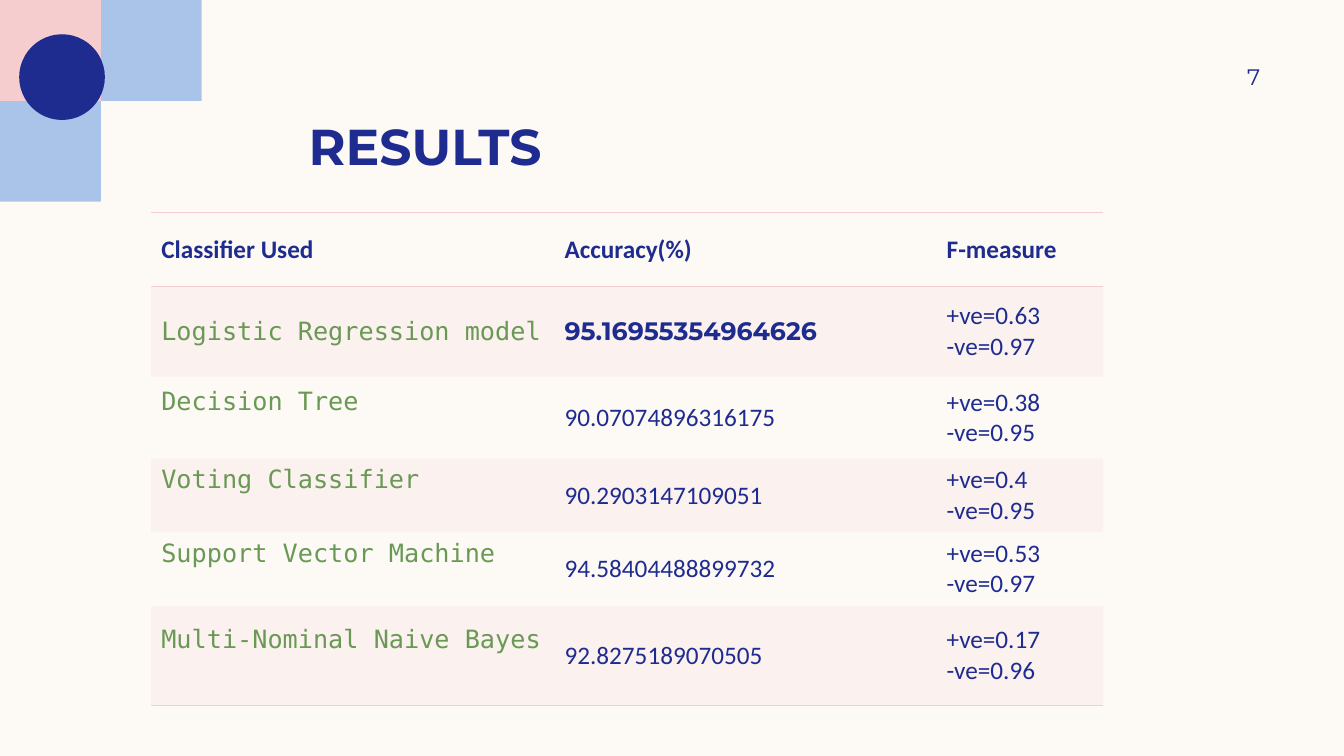
from lxml import etree
from pptx import Presentation
from pptx.dml.color import RGBColor
from pptx.enum import shapes, text
from pptx.oxml.ns import qn
from pptx.util import Inches, Pt

# Content
TITLE = "RESULTS"
PAGE_NUMBER = "7"
HEADERS = ("Classifier Used", "Accuracy(%)", "F-measure")
RESULTS = [
    ("Logistic Regression model", "95.16955354964626", "+ve=0.63\n-ve=0.97"),
    ("Decision Tree", "90.07074896316175", "+ve=0.38\n-ve=0.95"),
    ("Voting Classifier", "90.2903147109051", "+ve=0.4\n-ve=0.95"),
    ("Support Vector Machine", "94.58404488899732", "+ve=0.53\n-ve=0.97"),
    ("Multi-Nominal Naive Bayes", "92.8275189070505", "+ve=0.17\n-ve=0.96"),
]
COLUMN_WIDTHS = (4, 3.79, 1.65)
ROW_HEIGHTS = (0.73, 0.9, 0.81, 0.73, 0.73, 0.99)
COLORS = {"background": "FDFAF6", "navy": "1F2C8F", "blue": "AAC3E8",
          "pink": "F5CDCE", "green": "6A9955"}
BODY, HEADING, CODE = "Calibri", "Montserrat", "DejaVu Sans Mono"

# Corner arcs: Bézier control points, from the top edge to the left edge
OUTER_ARC = ((1.7, 0.01), (1.7, 1.12), (1.12, 2.09), (0.24, 2.65))
INNER_ARC = ((0.74, 0.22), (0.68, 0.73), (0.46, 1.19), (0.11, 1.54))


def color(name):
    return RGBColor.from_string(COLORS[name])


def write(frame, content, size=18, font=BODY, ink="navy", bold=False,
          align=text.PP_ALIGN.LEFT):
    frame.text = content
    for paragraph in frame.paragraphs:
        paragraph.alignment = align
        for run in paragraph.runs:
            run.font.size = Pt(size)
            run.font.name = font
            run.font.bold = bold
            run.font.color.rgb = color(ink)


def curve(points, steps=40):
    weights = (1, 3, 3, 1)
    return [tuple(sum(w * (1 - t) ** (3 - i) * t ** i * point[axis]
                      for i, (w, point) in enumerate(zip(weights, points)))
                  for axis in (0, 1))
            for t in (step / steps for step in range(steps + 1))]


def paint(shape, fill):
    shape.shadow.inherit = False
    shape.fill.solid()
    shape.fill.fore_color.rgb = color(fill)
    shape.line.fill.background()


def draw_outline(slide, points, fill):
    builder = slide.shapes.build_freeform(*points[0], scale=Inches(1))
    builder.add_line_segments(points[1:], close=True)
    paint(builder.convert_to_shape(), fill)


def tint(cell):
    cell.fill.solid()
    cell.fill.fore_color.rgb = color("pink")
    rgb = cell._tc.tcPr.find(".//" + qn("a:srgbClr"))
    etree.SubElement(rgb, qn("a:alpha"), val="20000")


def add_borders(cell, sides):
    properties = cell._tc.get_or_add_tcPr()
    for position, side in enumerate(sides):
        line = etree.Element(qn("a:ln" + side), w=str(Pt(1)))
        fill = etree.SubElement(line, qn("a:solidFill"))
        etree.SubElement(fill, qn("a:srgbClr"), val=COLORS["pink"])
        properties.insert(position, line)


def cell_format(row, column):
    if row == 0:
        return {"bold": True}
    if column == 0:
        return {"font": CODE, "ink": "green"}
    if (row, column) == (1, 1):
        return {"font": HEADING, "bold": True}
    return {}


def add_results_table(slide):
    rows = [HEADERS, *RESULTS]
    frame = slide.shapes.add_table(
        len(rows), len(HEADERS), Inches(1.5), Inches(2.11),
        Inches(sum(COLUMN_WIDTHS)), Inches(sum(ROW_HEIGHTS)))
    table = frame.table
    table.first_row = table.horz_banding = False
    # "No style, no grid" table style
    style = table._tbl.tblPr.find(qn("a:tableStyleId"))
    style.text = "{2D5ABB26-0587-4C30-8999-92F81FD0307C}"
    for column, width in zip(table.columns, COLUMN_WIDTHS):
        column.width = Inches(width)
    for r, (values, height) in enumerate(zip(rows, ROW_HEIGHTS)):
        table.rows[r].height = Inches(height)
        for c, value in enumerate(values):
            cell = table.cell(r, c)
            cell.vertical_anchor = text.MSO_ANCHOR.MIDDLE
            write(cell.text_frame, value, **cell_format(r, c))
            if c == 0 and r > 1:  # names sit level with the first F-measure line
                cell.margin_bottom = Inches(0.36)
            if r % 2:
                tint(cell)
            else:
                cell.fill.background()
            if r == 0:
                add_borders(cell, "TB")
            elif r == len(rows) - 1:
                add_borders(cell, "B")


def main():
    presentation = Presentation()
    presentation.slide_width = Inches(13.33)
    presentation.slide_height = Inches(7.5)
    slide = presentation.slides.add_slide(presentation.slide_layouts[5])
    slide.background.fill.solid()
    slide.background.fill.fore_color.rgb = color("background")

    # Corner decoration
    inner = [(0.75, 0), *curve(INNER_ARC), (0, 1.64)]
    outer = [(1.7, 0), *curve(OUTER_ARC), (0, 2.78)]
    draw_outline(slide, outer + inner[::-1], "blue")
    draw_outline(slide, [(0, 0), *inner], "pink")
    dot = slide.shapes.add_shape(shapes.MSO_SHAPE.OVAL, Inches(0.19),
                                 Inches(0.34), Inches(0.85), Inches(0.85))
    paint(dot, "navy")

    # Title
    title = slide.shapes.title
    title.left, title.top = Inches(2.96), Inches(0.88)
    title.width, title.height = Inches(9.54), Inches(0.86)
    frame = title.text_frame
    frame.auto_size = text.MSO_AUTO_SIZE.NONE
    frame.vertical_anchor = text.MSO_ANCHOR.BOTTOM
    frame.margin_top = frame.margin_bottom = 0
    write(frame, TITLE, size=36, font=HEADING, bold=True)

    add_results_table(slide)

    # Page number
    number = slide.shapes.add_textbox(Inches(11.33), Inches(0.5),
                                      Inches(1.17), Inches(0.52))
    frame = number.text_frame
    frame.word_wrap = True
    frame.vertical_anchor = text.MSO_ANCHOR.MIDDLE
    frame.margin_right = 0
    write(frame, PAGE_NUMBER, size=16, font=HEADING, align=text.PP_ALIGN.RIGHT)

    presentation.save("out.pptx")


if __name__ == "__main__":
    main()
